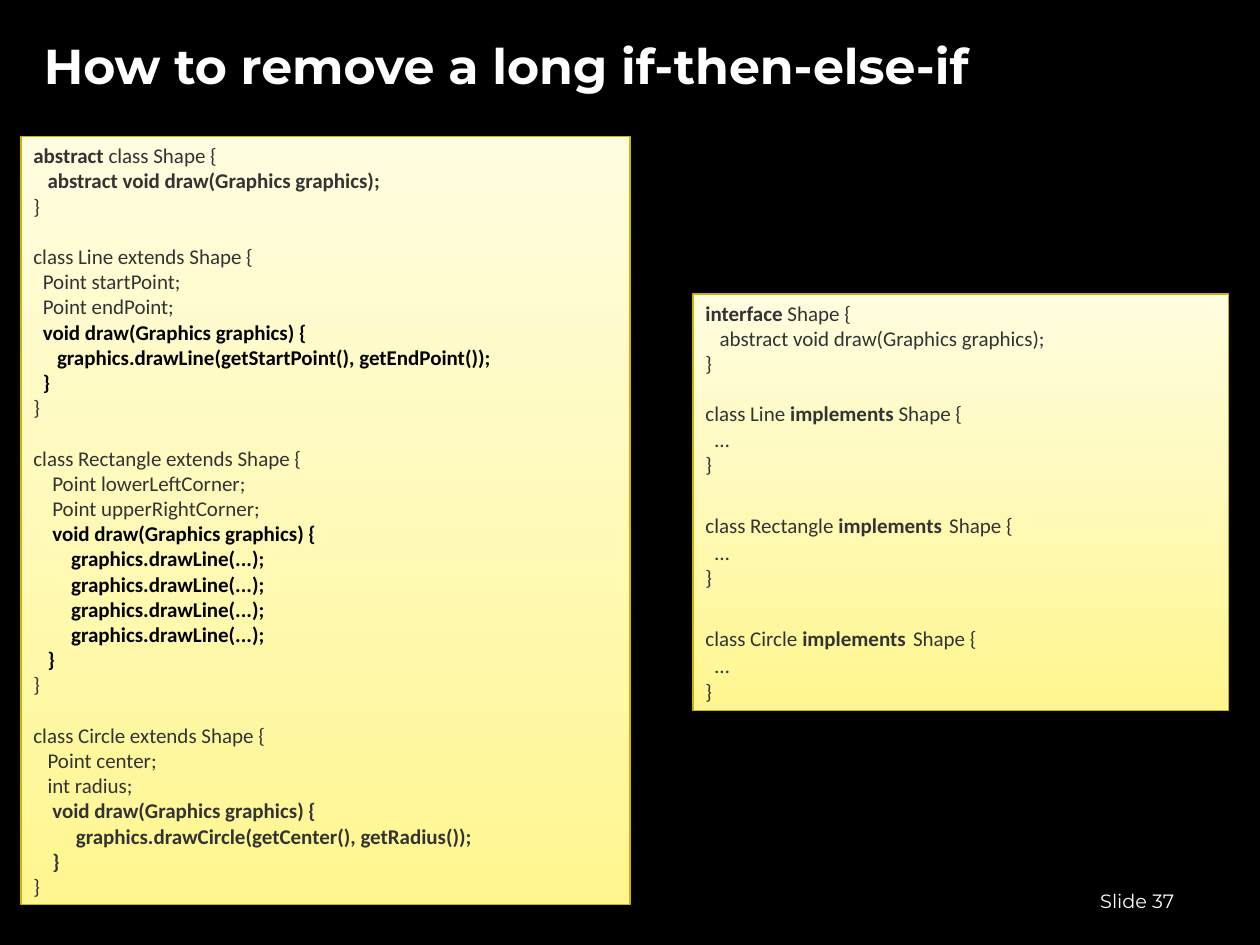
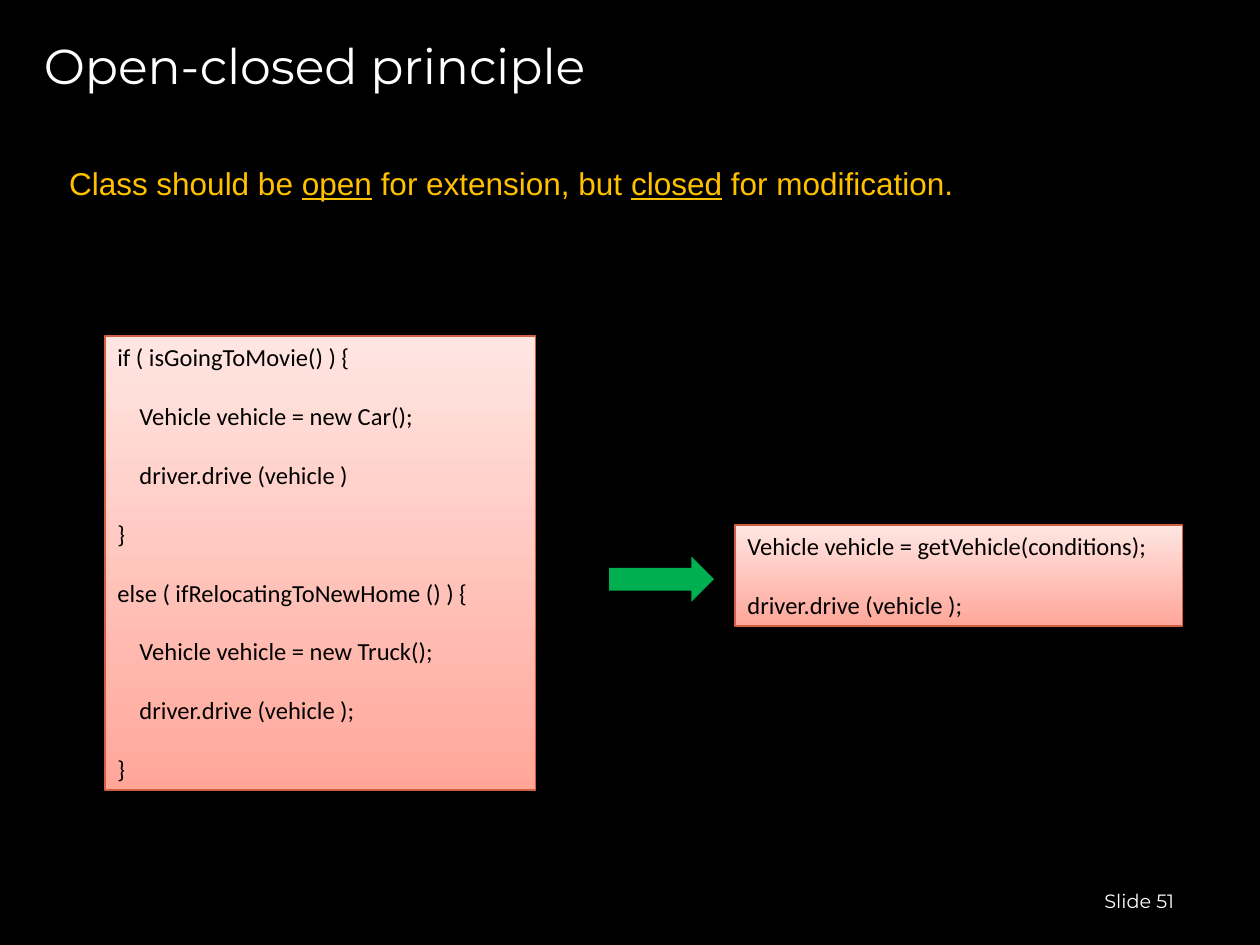
from pptx import Presentation
from pptx.dml.color import RGBColor
from pptx.enum import shapes, text
from pptx.util import Pt

# Shared look
BACKGROUND, WHITE, BLACK = "000000", "FFFFFF", "000000"
CODE_GREY, AMBER, GREEN = "333333", "FFC000", "00B050"
YELLOW_PANEL = dict(bottom="FFF690", top="FFFDE0", line="CCB400")
RED_PANEL = dict(bottom="FFA699", top="FFE6E2", line="D05F44")
TITLE = dict(name="Montserrat", size=28, color=WHITE)
FOOTER = dict(name="Montserrat", size=11, color=WHITE)
STATEMENT = dict(name="Arial", size=18, color=AMBER)
SMALL_CODE = dict(name="Calibri", size=12, color=CODE_GREY)
LARGE_CODE = dict(name="Calibri", size=14, color=BLACK)

# Run styles
PLAIN = {}
BOLD = dict(bold=True)
STRONG = dict(bold=True, color=BLACK)
UNDERLINED = dict(underline=True)
WIDE = dict(size=18)


# Content: code is a list of blocks, a block a list of lines,
# a line a string or a list of (text, style) runs
def implementing(name):
    return [[(f"class {name} ", PLAIN), ("implements", BOLD),
             (" ", WIDE), ("Shape {", PLAIN)], "  …", "}"]


ABSTRACT_CLASS = [
    [[("abstract ", BOLD), ("class Shape {", PLAIN)],
     [("   abstract void draw(Graphics graphics);", BOLD)],
     "}"],
    ["class Line extends Shape {",
     "  Point startPoint;",
     "  Point endPoint;",
     [("  void draw(Graphics graphics) {", STRONG)],
     [("     graphics.drawLine(getStartPoint(), getEndPoint());", STRONG)],
     [("  }", STRONG)],
     "}"],
    ["class Rectangle extends Shape {",
     "    Point lowerLeftCorner;",
     "    Point upperRightCorner;",
     [("    void draw(Graphics graphics) {", STRONG)],
     *[[("        graphics.drawLine(...);", STRONG)]] * 4,
     [("   }", STRONG)],
     "}"],
    ["class Circle extends Shape {",
     "   Point center;",
     "   int radius;",
     [("    void draw(Graphics graphics) {", BOLD)],
     [("         graphics.drawCircle(getCenter(), getRadius());", BOLD)],
     [("    }", BOLD)],
     "}"],
]
INTERFACE = [
    [[("interface ", BOLD), ("Shape {", PLAIN)],
     "   abstract void draw(Graphics graphics);",
     "}"],
    [[("class Line ", PLAIN), ("implements", BOLD), (" Shape {", PLAIN)],
     "  …", "}"],
    implementing("Rectangle"),
    implementing("Circle"),
]
CONDITIONS = [[line] for line in (
    "if ( isGoingToMovie() ) {",
    "    Vehicle vehicle = new Car();",
    "    driver.drive (vehicle )",
    "}",
    "else ( ifRelocatingToNewHome () ) {",
    "    Vehicle vehicle = new Truck();",
    "    driver.drive (vehicle );",
    "}",
)]
FACTORY_CALL = [["Vehicle vehicle = getVehicle(conditions);"],
                ["driver.drive (vehicle );"]]
PRINCIPLE = [("Class should be ", PLAIN), ("open", UNDERLINED),
             (" for extension, but ", PLAIN), ("closed", UNDERLINED),
             (" for modification.", PLAIN)]


def rgb(color):
    return RGBColor.from_string(color)


def set_font(font, name=None, size=None, color=None, bold=None, underline=None):
    if name:
        font.name = name
    if size:
        font.size = Pt(size)
    if color:
        font.color.rgb = rgb(color)
    if bold:
        font.bold = True
    if underline:
        font.underline = True


def write(p, line, base):
    """Fill a paragraph; a style that covers the whole line goes on the paragraph."""
    runs = [(line, PLAIN)] if isinstance(line, str) else line
    whole = runs[0][1] if len(runs) == 1 else PLAIN
    set_font(p.font, **{**base, **whole})
    for content, style in runs:
        r = p.add_run()
        r.text = content
        if len(runs) > 1:
            set_font(r.font, **style)


def set_frame(tf, anchor, wrap=True):
    tf.word_wrap = wrap
    tf.vertical_anchor = anchor
    tf.margin_left = tf.margin_right = Pt(7.2)
    tf.margin_top = tf.margin_bottom = Pt(3.6)


def add_text(s, box, line, base, anchor=text.MSO_ANCHOR.MIDDLE, wrap=True):
    tf = s.shapes.add_textbox(*map(Pt, box)).text_frame
    set_frame(tf, anchor, wrap)
    write(tf.paragraphs[0], line, base)
    return tf


def add_shape(s, kind, box):
    sp = s.shapes.add_shape(kind, *map(Pt, box))
    sp.shadow.inherit = False
    return sp


def add_code(s, box, blocks, panel, base):
    sp = add_shape(s, shapes.MSO_SHAPE.RECTANGLE, box)
    sp.fill.gradient()
    sp.fill.gradient_angle = 90
    for stop, end in zip(sp.fill.gradient_stops, ("bottom", "top")):
        stop.color.rgb = rgb(panel[end])
    sp.line.color.rgb = rgb(panel["line"])
    sp.line.width = Pt(0.75)
    tf = sp.text_frame
    set_frame(tf, text.MSO_ANCHOR.TOP)
    for b, block in enumerate(blocks):
        for n, line in enumerate(block):
            first = b == n == 0
            p = tf.paragraphs[0] if first else tf.add_paragraph()
            p.alignment = text.PP_ALIGN.LEFT
            # One line of space between blocks
            if n == 0 and not first:
                p.space_before = Pt(1.2 * base["size"])
            write(p, line, base)


def add_slide(prs, title, number, title_style=PLAIN):
    s = prs.slides.add_slide(prs.slide_layouts[6])
    s.background.fill.solid()
    s.background.fill.fore_color.rgb = rgb(BACKGROUND)
    add_text(s, (18, 12, 648, 50.4), [(title, title_style)], TITLE)
    tf = add_text(s, (516, 500.4, 168, 28.8), f"Slide {number}", FOOTER)
    tf.margin_right = Pt(13)
    tf.paragraphs[0].alignment = text.PP_ALIGN.RIGHT
    return s


def main():
    prs = Presentation()
    prs.slide_width, prs.slide_height = Pt(720), Pt(540)

    # Polymorphism in place of branches
    s = add_slide(prs, "How to remove a long if-then-else-if", 37, BOLD)
    add_code(s, (12, 78, 348, 439), ABSTRACT_CLASS, YELLOW_PANEL, SMALL_CODE)
    add_code(s, (396, 168, 306, 238), INTERFACE, YELLOW_PANEL, SMALL_CODE)

    # Open-closed principle
    s = add_slide(prs, "Open-closed principle", 51)
    add_code(s, (60, 192, 246, 259.4), CONDITIONS, RED_PANEL, LARGE_CODE)
    add_code(s, (420, 300, 255.6, 57.8), FACTORY_CALL, RED_PANEL, LARGE_CODE)
    arrow = add_shape(s, shapes.MSO_SHAPE.RIGHT_ARROW, (348, 318, 60, 26))
    arrow.fill.solid()
    arrow.fill.fore_color.rgb = rgb(GREEN)
    arrow.line.fill.background()
    add_text(s, (32.4, 90, 520, 29), PRINCIPLE, STATEMENT,
             text.MSO_ANCHOR.TOP, wrap=False)

    prs.save("out.pptx")


if __name__ == "__main__":
    main()
